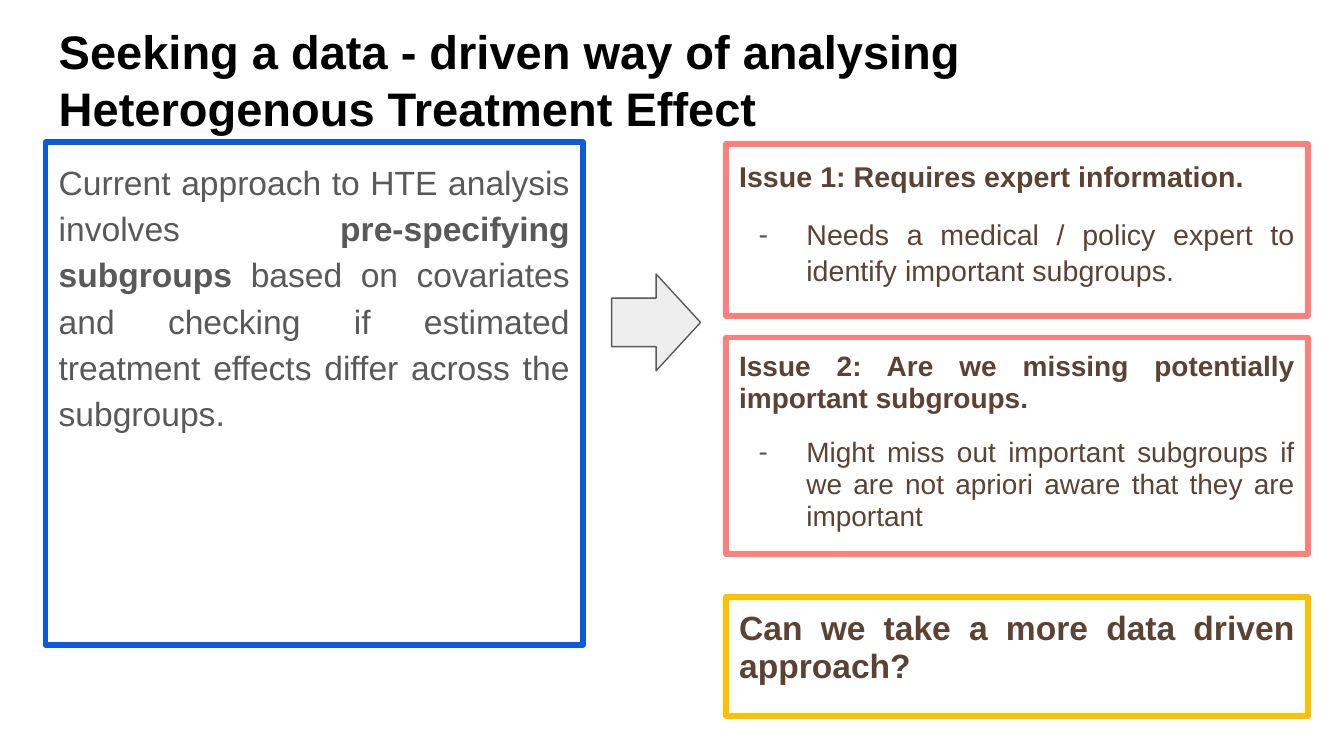
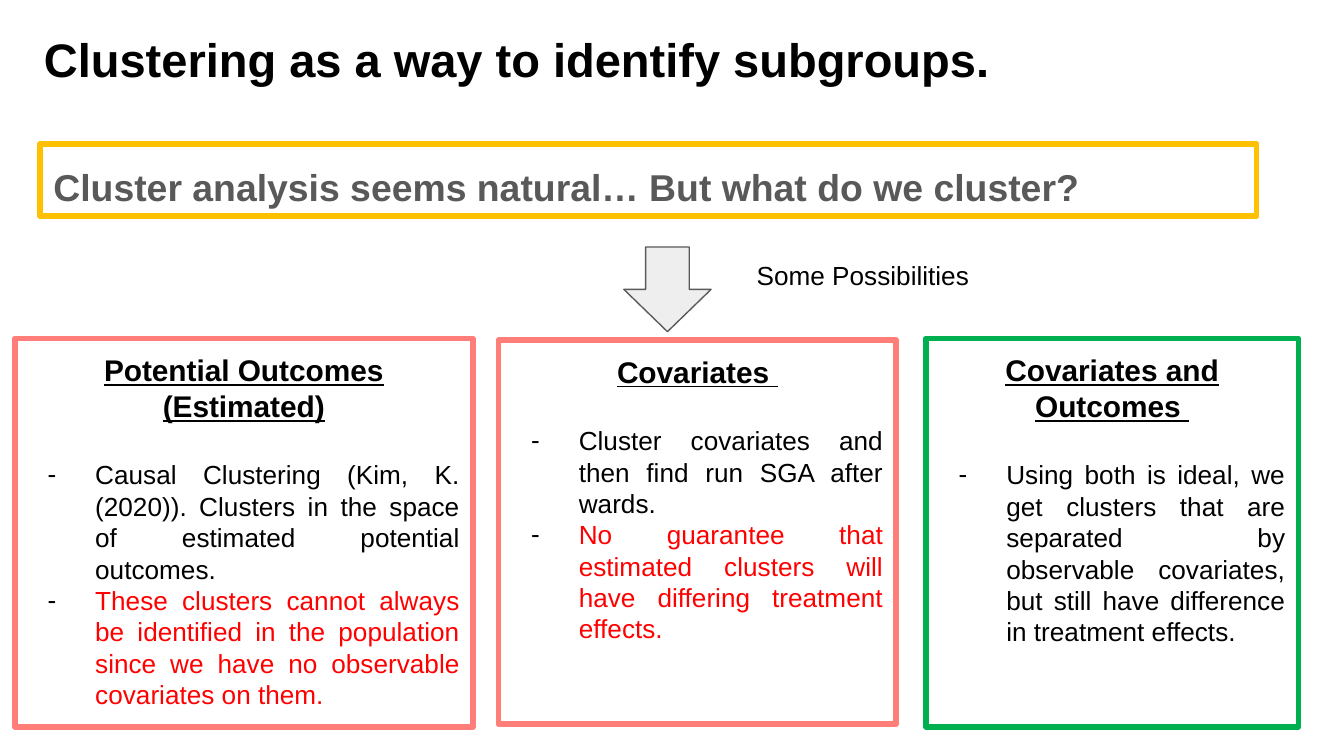
"""Build two slides on finding subgroups with heterogenous treatment effects."""
from lxml import etree
from pptx import Presentation
from pptx.dml.color import RGBColor
from pptx.enum.shapes import MSO_SHAPE
from pptx.enum.text import MSO_ANCHOR, PP_ALIGN
from pptx.oxml.ns import qn
from pptx.util import Cm, Pt

RECTANGLE = MSO_SHAPE.RECTANGLE
RIGHT_ARROW, DOWN_ARROW = MSO_SHAPE.RIGHT_ARROW, MSO_SHAPE.DOWN_ARROW
TOP = MSO_ANCHOR.TOP
LEFT, CENTER, JUSTIFY = PP_ALIGN.LEFT, PP_ALIGN.CENTER, PP_ALIGN.JUSTIFY

FONT = "Arial"
COLORS = {
    "black": "000000",
    "grey": "595959",
    "pale": "EEEEEE",
    "brown": "5C4233",
    "red": "FF0000",
    "blue": "0D5BDC",
    "coral": "FF7E79",
    "amber": "FFC000",
    "green": "00B050",
}


def rgb(name):
    """Return the named colour."""
    return RGBColor.from_string(COLORS[name])


def write(paragraph, text, size=14, color="black", bold=False, underline=False):
    """Add a formatted run to a paragraph."""
    run = paragraph.add_run()
    run.text = text
    font = run.font
    font.name, font.size = FONT, Pt(size)
    font.bold, font.underline = bold, underline
    font.color.rgb = rgb(color)


class Deck:
    """Hold the shared style and the current slide."""

    def __init__(self):
        """Open a widescreen presentation."""
        self.presentation = Presentation()
        self.presentation.slide_width = Cm(25.4)
        self.presentation.slide_height = Cm(14.29)
        self.slide = None

    def start(self, title, left, top):
        """Add a slide with its title."""
        blank = self.presentation.slide_layouts[6]
        self.slide = self.presentation.slides.add_slide(blank)
        self.label(title, left, top, 23.67, 1.6, size=25.2, bold=True)

    def prepare(self, frame):
        """Give a text frame the shared margins and return it."""
        frame.word_wrap = True
        frame.vertical_anchor = TOP
        frame.margin_left = frame.margin_right = Cm(0.25)
        frame.margin_top = frame.margin_bottom = Cm(0.25)
        return frame

    def label(self, text, left, top, width, height, **style):
        """Add plain text without an outline."""
        box = self.slide.shapes.add_textbox(Cm(left), Cm(top), Cm(width), Cm(height))
        write(self.prepare(box.text_frame).paragraphs[0], text, **style)

    def outline(self, kind, left, top, width, height, color, weight):
        """Add an unfilled shape with a rounded outline."""
        shape = self.slide.shapes.add_shape(
            kind, Cm(left), Cm(top), Cm(width), Cm(height))
        shape.shadow.inherit = False
        shape.fill.background()
        shape.line.color.rgb = rgb(color)
        shape.line.width = Pt(weight)
        etree.SubElement(shape.element.spPr.find(qn("a:ln")), qn("a:round"))
        return shape

    def arrow(self, kind, left, top, width, height):
        """Add a pale block arrow."""
        shape = self.outline(kind, left, top, width, height, "grey", 0.75)
        shape.fill.solid()
        shape.fill.fore_color.rgb = rgb("pale")

    def panel(self, left, top, width, height, color):
        """Add a framed panel and return its text frame."""
        shape = self.outline(RECTANGLE, left, top, width, height, color, 3)
        return self.prepare(shape.text_frame)

    def paragraph(self, frame, align=JUSTIFY, spacing=1.0, before=0, after=0):
        """Return the next paragraph of a frame, spaced and aligned."""
        first = frame.paragraphs[0]
        paragraph = frame.add_paragraph() if first.runs else first
        paragraph.alignment = align
        paragraph.line_spacing = spacing
        paragraph.space_before, paragraph.space_after = Pt(before), Pt(after)
        return paragraph

    def bullet(self, frame, text, dash="black", spacing=1.0, before=0, **style):
        """Add a dashed list entry."""
        paragraph = self.paragraph(frame, spacing=spacing, before=before)
        write(paragraph, text, **style)
        properties = paragraph._p.get_or_add_pPr()
        properties.set("marL", str(Cm(1.27)))
        properties.set("indent", str(-Cm(0.9)))
        tint = etree.SubElement(properties, qn("a:buClr"))
        etree.SubElement(tint, qn("a:srgbClr"), val=COLORS[dash])
        etree.SubElement(properties, qn("a:buFont"), typeface=FONT)
        etree.SubElement(properties, qn("a:buChar"), char="-")

    def issue(self, top, height, heading, detail, size, spacing):
        """Add an issue panel in the right column."""
        frame = self.panel(13.72, top, 11, height, "coral")
        write(self.paragraph(frame, spacing=spacing), heading,
              size=size, color="brown", bold=True)
        self.bullet(frame, detail, dash="grey", spacing=spacing, before=12,
                    size=size, color="brown")

    def option(self, left, top, width, height, color, heading, benefit, drawback=None):
        """Add a clustering option with its points."""
        frame = self.panel(left, top, width, height, color)
        write(self.paragraph(frame, align=CENTER, after=19), heading,
              size=16, bold=True, underline=True)
        self.bullet(frame, benefit)
        if drawback:
            self.bullet(frame, drawback, color="red")


def build_motivation(deck):
    """Build the slide on the current approach and its issues."""
    deck.start("Seeking a data - driven way of analysing Heterogenous Treatment Effect",
               0.86, 0.18)
    approach = deck.paragraph(deck.panel(0.86, 2.69, 10.16, 9.5, "blue"),
                              spacing=1.15, after=12)
    for text, bold in (
        ("Current approach to HTE analysis involves ", False),
        ("pre-specifying subgroups ", True),
        ("based on covariates and checking if estimated treatment effects "
         "differ across the subgroups.", False),
    ):
        write(approach, text, size=18, color="grey", bold=bold)
    deck.arrow(RIGHT_ARROW, 11.56, 5.18, 1.68, 1.83)
    deck.issue(2.72, 3.25, "Issue 1: Requires expert information.",
               "Needs a medical / policy expert to identify important subgroups.",
               15.3, 1.05)
    deck.issue(6.38, 4.09, "Issue 2: Are we missing potentially important subgroups.",
               "Might miss out important subgroups if we are not apriori aware "
               "that they are important", 15, 0.95)
    question = deck.panel(13.72, 11.28, 11, 2.26, "amber")
    write(deck.paragraph(question, spacing=0.95),
          "Can we take a more data driven approach?",
          size=18, color="brown", bold=True)


def build_clustering(deck):
    """Build the slide on what to cluster."""
    deck.start("Clustering as a way to identify subgroups.", 0.58, 0.33)
    question = deck.panel(0.76, 2.72, 22.99, 1.37, "amber")
    write(deck.paragraph(question, align=LEFT, spacing=1.15, after=12),
          "Cluster analysis seems natural… But what do we cluster?",
          size=20, color="grey", bold=True)
    deck.arrow(DOWN_ARROW, 11.79, 4.67, 1.65, 1.6)
    deck.label("Some Possibilities", 14.05, 4.65, 5.36, 1.12)
    deck.option(0.28, 6.4, 8.66, 7.34, "coral", "Potential Outcomes (Estimated)",
                "Causal Clustering (Kim, K. (2020)). Clusters in the space of "
                "estimated potential outcomes.",
                "These clusters cannot always be identified in the population "
                "since we have no observable covariates on them.")
    deck.option(9.42, 6.43, 7.52, 7.26, "coral", "Covariates ",
                "Cluster covariates and then find run SGA after wards.",
                "No guarantee that estimated clusters will have differing "
                "treatment effects.")
    deck.option(17.5, 6.4, 7.04, 7.34, "green", "Covariates and Outcomes ",
                "Using both is ideal, we get clusters that are separated by "
                "observable covariates, but still have difference in treatment "
                "effects.")


deck = Deck()
build_motivation(deck)
build_clustering(deck)
deck.presentation.save("out.pptx")
